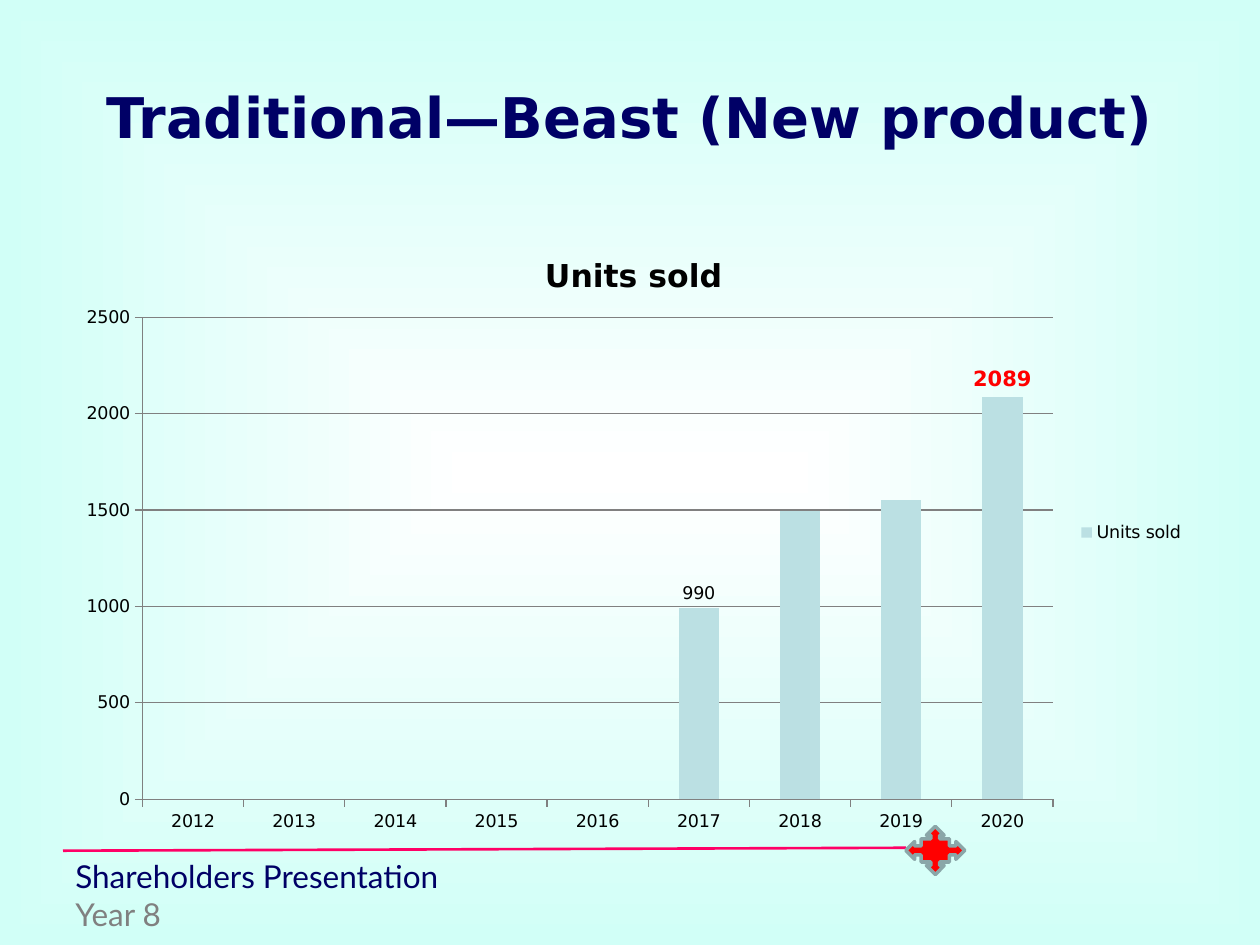
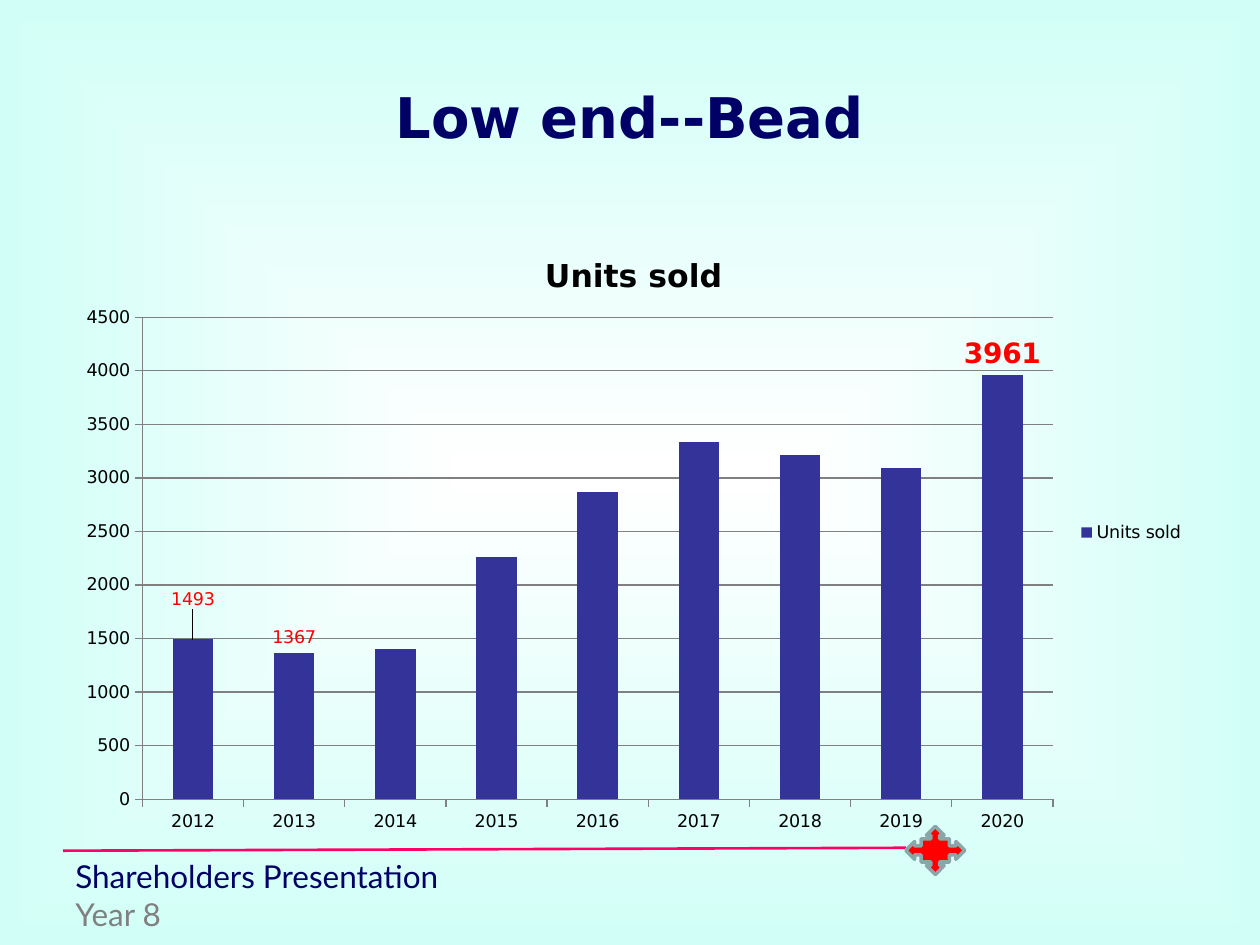
from pptx import Presentation
from pptx.chart.data import CategoryChartData
from pptx.dml.color import RGBColor
from pptx.enum.chart import XL_CHART_TYPE as CT, XL_LABEL_POSITION as LP
from pptx.enum.chart import XL_LEGEND_POSITION as LEG, XL_TICK_MARK as TICK
from pptx.enum.shapes import MSO_CONNECTOR as CONN, MSO_SHAPE as SHAPE
from pptx.enum.text import MSO_ANCHOR as ANCHOR, PP_ALIGN as ALIGN
from pptx.oxml import parse_xml
from pptx.oxml.ns import nsdecls
from pptx.util import Cm, Pt

# Content
COLORS = {
    "navy": "000066", "gray": "808080", "black": "000000", "red": "FF0000",
    "pink": "FF0066", "steel": "8AA6A8", "white": "FFFFFF", "mint": "D1FFF7",
    "pale": "BBE0E3", "indigo": "333399",
}
SANS, LATO = "DejaVu Sans", "Lato"
YEARS = [str(y) for y in range(2012, 2021)]
SERIES = "Units sold"
FOOTER = [("Shareholders Presentation", "navy"), ("Year 8", "gray")]

# labels: point index -> (size, bold, colour, vertical shift)
SLIDES = [
    {"title": "Traditional—Beast (New product)", "color": "pale", "max": 2500,
     "values": [None] * 5 + [990, 1496, 1554, 2089],
     "labels": {5: (10, False, "black", 0), 8: (12, True, "red", 0)}},
    {"title": "Low end--Bead", "color": "indigo", "max": 4500,
     "values": [1493, 1367, 1402, 2263, 2871, 3334, 3213, 3094, 3961],
     "labels": {0: (10, False, "red", -0.04), 1: (10, False, "red", 0),
                8: (16, True, "red", 0)}},
]

# Places in cm: left, top, width, height
LEFT = 1.27
TITLE_BOX = (LEFT, 0.76, 22.86, 3.18)
CHART_BOX = (LEFT, 4.45, 22.86, 12.57)
FOOTER_BOX = (LEFT, 17.15, 19.05, 1.07)
STAR_BOX = (18.26, 16.66, 1.19, 0.97)
RULE = (LEFT, 17.15, 18.26, 17.09)


def cm(box):
    return [Cm(v) for v in box]


def rgb(name):
    return RGBColor.from_string(COLORS[name])


def set_font(font, color, **formats):
    for key, value in formats.items():
        setattr(font, key, value)
    font.color.rgb = rgb(color)


def set_line(line, color, width):
    line.color.rgb = rgb(color)
    line.width = Pt(width)


def set_layout(parent, index, inner=False, **parts):
    """Give a chart part a manual layout, as fractions of the chart."""
    for old in parent.xpath("./c:layout"):
        parent.remove(old)
    target = '<c:layoutTarget val="inner"/>' if inner else ""
    modes = "".join(f'<c:{k}Mode val="edge"/>' for k in parts
                    if k in "xy" and parent.tag.split("}")[1] != "dLbl")
    sizes = "".join(f'<c:{k} val="{v}"/>' for k, v in parts.items())
    parent.insert(index, parse_xml(
        f'<c:layout {nsdecls("c")}><c:manualLayout>{target}{modes}{sizes}'
        '</c:manualLayout></c:layout>'))


def set_background(master):
    master.background.fill.gradient()
    grad = master.element.xpath(".//p:bgPr/a:gradFill")[0]
    stops = "".join(f'<a:gs pos="{pos}"><a:srgbClr val="{COLORS[c]}"/></a:gs>'
                    for pos, c in ((0, "white"), (100000, "mint")))
    grad.getparent().replace(grad, parse_xml(
        f'<a:gradFill {nsdecls("a")} rotWithShape="1"><a:gsLst>{stops}</a:gsLst>'
        '<a:path path="shape"><a:fillToRect l="50000" t="50000" r="50000" '
        'b="50000"/></a:path></a:gradFill>'))


def add_footer(s):
    # Rule and star
    rule = s.shapes.add_connector(CONN.STRAIGHT, *cm(RULE))
    set_line(rule.line, "pink", 1.5)
    rule.element.spPr.append(parse_xml(f'<a:effectLst {nsdecls("a")}/>'))
    star = s.shapes.add_shape(SHAPE.QUAD_ARROW_CALLOUT, *cm(STAR_BOX))
    star.shadow.inherit = False
    star.fill.solid()
    star.fill.fore_color.rgb = rgb("red")
    set_line(star.line, "steel", 2)
    # Text
    tf = s.shapes.add_textbox(*cm(FOOTER_BOX)).text_frame
    tf.word_wrap = True
    for i, (text, color) in enumerate(FOOTER):
        p = tf.add_paragraph() if i else tf.paragraphs[0]
        r = p.add_run()
        r.text = text
        set_font(r.font, color, name=LATO, size=Pt(18))


def add_title(s, text):
    sp = s.shapes.title
    sp.left, sp.top, sp.width, sp.height = cm(TITLE_BOX)
    tf = sp.text_frame
    tf.vertical_anchor = ANCHOR.MIDDLE
    p = tf.paragraphs[0]
    p.alignment = ALIGN.CENTER
    r = p.add_run()
    r.text = text
    set_font(r.font, "navy", name=SANS, size=Pt(32), bold=True)


def add_labels(chart, series, labels):
    series.data_labels.show_value = False
    for i, (size, bold, color, shift) in labels.items():
        label = series.points[i].data_label
        set_font(label.font, color, name=SANS, size=Pt(size), bold=bold)
        label.position = LP.OUTSIDE_END
        if shift:
            dlbl = chart.element.xpath(f'.//c:dLbl[c:idx/@val="{i}"]')[0]
            set_layout(dlbl, 1, x=0, y=shift)
            # Leader line from the moved label to its column
            dlbls = dlbl.getparent()
            for old in dlbls.xpath("./c:showLeaderLines"):
                dlbls.remove(old)
            dlbls.append(parse_xml(f'<c:showLeaderLines {nsdecls("c")} val="1"/>'))


def add_units_chart(s, data):
    cd = CategoryChartData()
    cd.categories = YEARS
    cd.add_series(SERIES, data["values"])
    chart = s.shapes.add_chart(CT.COLUMN_CLUSTERED, *cm(CHART_BOX), cd).chart
    set_font(chart.font, "black", name=SANS, size=Pt(10))

    # Title and legend
    chart.has_title = True
    tf = chart.chart_title.text_frame
    tf.text = SERIES
    set_font(tf.paragraphs[0].runs[0].font, "black", name=SANS, size=Pt(18), bold=True)
    set_layout(chart.element.xpath("./c:chart/c:title")[0], 1, x=0.42, y=0.045)
    chart.has_legend = True
    chart.legend.position = LEG.RIGHT
    chart.legend.include_in_layout = False

    # Axes
    for axis in (chart.category_axis, chart.value_axis):
        axis.major_tick_mark = TICK.OUTSIDE
        axis.minor_tick_mark = TICK.NONE
        set_line(axis.format.line, "gray", 0.75)
    axis = chart.value_axis
    axis.minimum_scale, axis.maximum_scale, axis.major_unit = 0, data["max"], 500
    axis.has_major_gridlines = True
    set_line(axis.major_gridlines.format.line, "gray", 0.75)

    # Columns
    plot = chart.plots[0]
    plot.gap_width = 150
    plot.vary_by_categories = False
    series = plot.series[0]
    series.format.fill.solid()
    series.format.fill.fore_color.rgb = rgb(data["color"])
    add_labels(chart, series, data["labels"])
    set_layout(chart.element.xpath(".//c:plotArea")[0], 0, inner=True,
               x=0.07, y=0.155, w=0.803, h=0.773)


def main():
    prs = Presentation()
    prs.slide_width, prs.slide_height = Cm(25.4), Cm(19.05)
    set_background(prs.slide_master)
    for data in SLIDES:
        s = prs.slides.add_slide(prs.slide_layouts[5])
        add_footer(s)
        add_title(s, data["title"])
        add_units_chart(s, data)
    prs.save("out.pptx")


if __name__ == "__main__":
    main()
